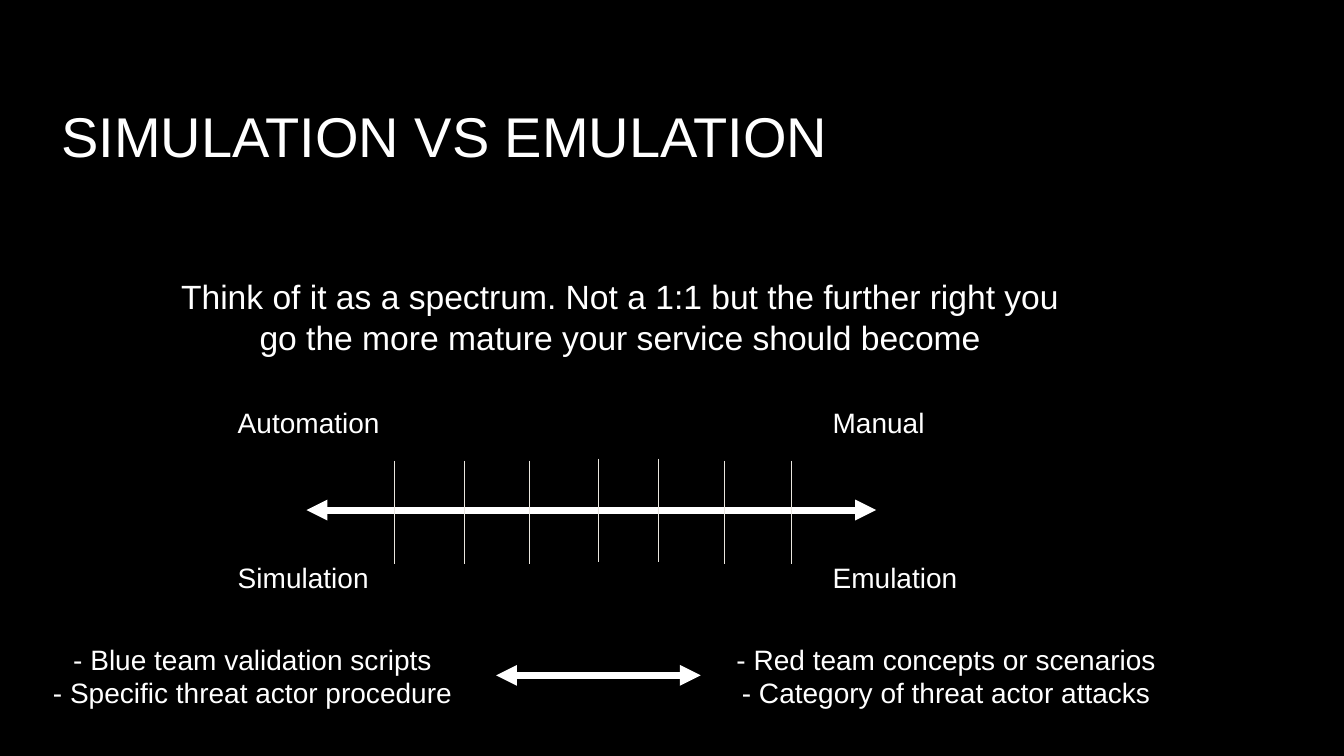
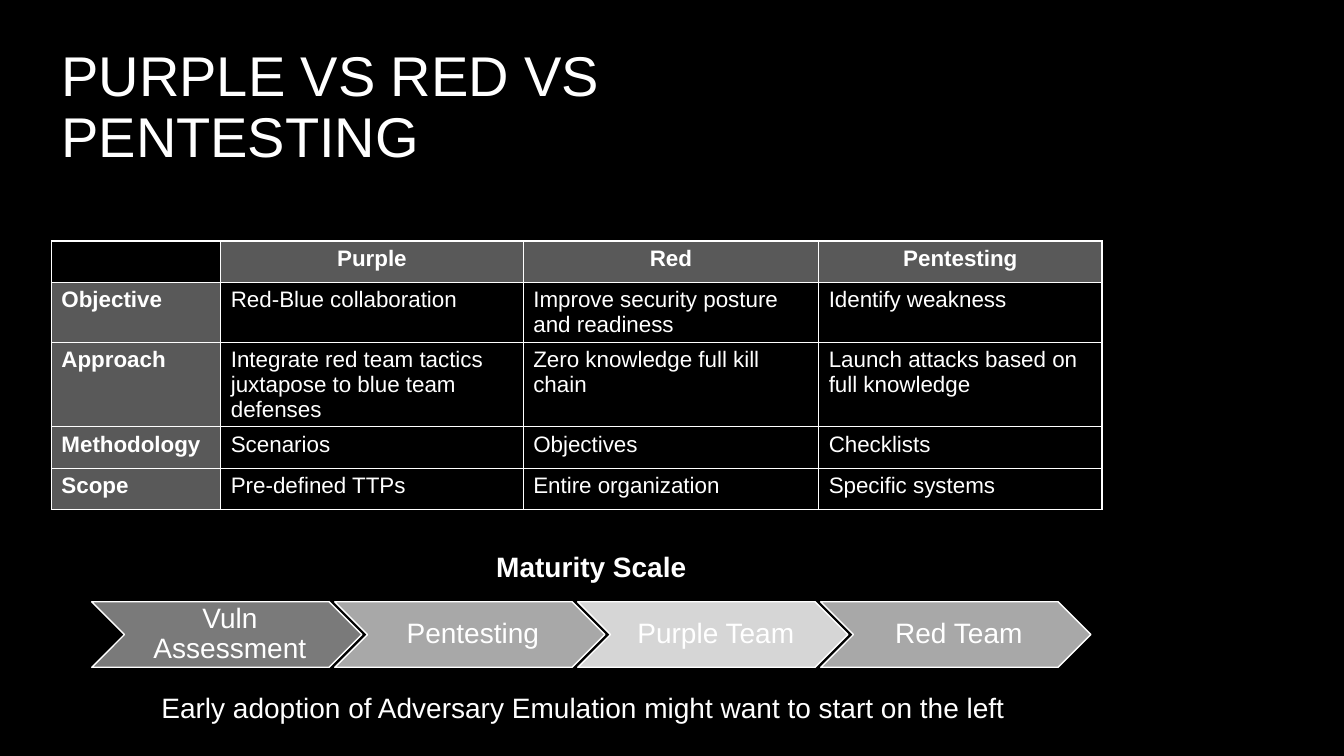
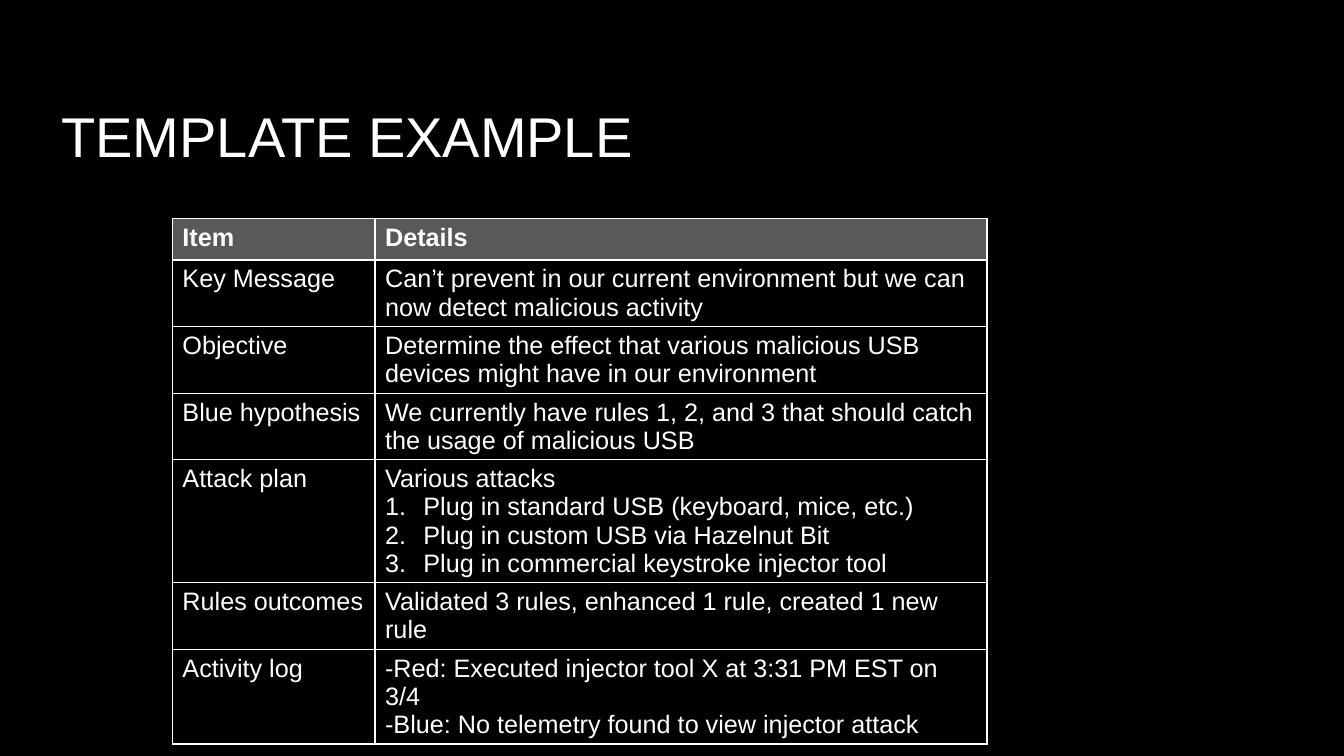
from typing import NamedTuple, Sequence

from lxml.etree import SubElement
from pptx import Presentation
from pptx.dml.color import RGBColor
from pptx.enum.dml import MSO_THEME_COLOR as Theme
from pptx.enum.shapes import MSO_CONNECTOR as Link, MSO_SHAPE as Shape
from pptx.enum.text import MSO_ANCHOR as Anchor, MSO_AUTO_SIZE as Fit, PP_ALIGN as Align
from pptx.oxml import parse_xml
from pptx.oxml.ns import nsdecls, qn
from pptx.util import Emu, Pt

BLACK = RGBColor(0x00, 0x00, 0x00)
WHITE = RGBColor(0xFF, 0xFF, 0xFF)
IVORY = RGBColor(0xE9, 0xE6, 0xDF)
HEAD = RGBColor(0x59, 0x59, 0x59)
DARK = RGBColor(0x7A, 0x7A, 0x7A)
MID = RGBColor(0xA8, 0xA8, 0xA8)
LIGHT = RGBColor(0xD6, 0xD6, 0xD6)
FONT = "Arial"
UNIT = 9144  # EMU in one px, at 100 px to the inch


class Label(NamedTuple):
    text: str
    x: int
    y: int
    w: int
    h: int = 44
    size: int = 20
    align: Align = Align.CENTER
    bold: bool = False


class Line(NamedTuple):
    x1: int
    y1: int
    x2: int
    y2: int
    color: RGBColor = WHITE
    width: float = 5
    heads: bool = True


class Step(NamedTuple):
    text: str
    color: RGBColor


class Grid(NamedTuple):
    x: int
    y: int
    cols: Sequence[int]
    rows: Sequence[Sequence[str]]
    size: int
    side: bool = False  # first column is a header too
    align: Align = Align.LEFT  # of the header row


def px(n: int) -> Emu:
    return Emu(n * UNIT)


def box(*sides: int) -> list[Emu]:
    return [px(n) for n in sides]


def style(paras, size: int, align: Align = Align.LEFT, bold: bool = False) -> None:
    for para in paras:
        para.alignment = align
        font = para.font
        font.name, font.size, font.bold = FONT, Pt(size), bold
        font.color.rgb = WHITE


def add_slide(deck, text: str):
    slide = deck.slides.add_slide(deck.slide_layouts[5])
    title = slide.shapes.title
    title.left, title.top, title.width, title.height = box(51, 20, 835, 153)
    frame = title.text_frame
    frame.text = text
    frame.auto_size = Fit.NONE
    frame.vertical_anchor = Anchor.BOTTOM
    frame.paragraphs[0].line_spacing = 0.9
    style(frame.paragraphs, 40)
    return slide


def add_label(slide, label: Label) -> None:
    frame = slide.shapes.add_textbox(*box(label.x, label.y, label.w, label.h)).text_frame
    frame.word_wrap = True
    frame.text = label.text
    style(frame.paragraphs, label.size, label.align, label.bold)


def add_line(slide, line: Line) -> None:
    link = slide.shapes.add_connector(
        Link.STRAIGHT, *box(line.x1, line.y1, line.x2, line.y2))
    link.line.color.rgb = line.color
    link.line.width = Pt(line.width)
    props = link._element.spPr
    if line.heads:
        for end in ("a:headEnd", "a:tailEnd"):
            SubElement(props.find(qn("a:ln")), qn(end), type="triangle")
    SubElement(props, qn("a:effectLst"))


def add_step(slide, step: Step, x: int) -> None:
    shape = slide.shapes.add_shape(Shape.CHEVRON, *box(x, 597, 268, 65))
    shape.shadow.inherit = False
    shape.fill.solid()
    shape.fill.fore_color.rgb = step.color
    shape.line.color.rgb = WHITE
    shape.line.width = Pt(1)
    frame = shape.text_frame
    frame.word_wrap = True
    frame.vertical_anchor = Anchor.MIDDLE
    frame.margin_left = px(9)
    frame.margin_top = frame.margin_right = frame.margin_bottom = px(3)
    frame.text = step.text
    frame.paragraphs[0].line_spacing = 0.9
    style(frame.paragraphs, 20, Align.CENTER)


def rule(cell) -> None:
    """Draw a thin white border on all four sides."""
    props = cell._tc.get_or_add_tcPr()
    for spot, side in enumerate("LRTB"):
        props.insert(spot, parse_xml(
            f'<a:ln{side} {nsdecls("a")} w="{Pt(1)}"><a:solidFill>'
            f'<a:srgbClr val="{WHITE}"/></a:solidFill></a:ln{side}>'))


def add_grid(slide, grid: Grid):
    count = len(grid.rows)
    table = slide.shapes.add_table(
        count, len(grid.cols),
        *box(grid.x, grid.y, sum(grid.cols), 41 * count)).table
    table.horz_banding = False
    for col, width in zip(table.columns, grid.cols):
        col.width = px(width)
    for r, row in enumerate(grid.rows):
        table.rows[r].height = px(41)
        for c, text in enumerate(row):
            cell = table.cell(r, c)
            cell.text = text
            top = r == 0
            head = top or (grid.side and c == 0)
            cell.fill.solid()
            cell.fill.fore_color.rgb = HEAD if head and text else BLACK
            rule(cell)
            style(cell.text_frame.paragraphs, grid.size,
                  grid.align if top else Align.LEFT, head)
    return table


def number(paras) -> None:
    """Turn paragraphs into a numbered list with a hanging indent."""
    for para in paras:
        props = para._p.get_or_add_pPr()
        props.set("marL", str(px(38)))
        props.set("indent", str(-px(38)))
        props.insert(0, parse_xml(
            f'<a:buAutoNum {nsdecls("a")} type="arabicPeriod"/>'))


def spectrum(deck) -> None:
    slide = add_slide(deck, "SIMULATION VS EMULATION")
    add_label(slide, Label(
        "Think of it as a spectrum. Not a 1:1 but the further right you go "
        "the more mature your service should become", 147, 269, 936, 91, 24))
    ends = ((226, "Automation", "Simulation"), (816, "Manual", "Emulation"))
    for x, *words in ends:
        for y, word in zip((397, 551), words):
            add_label(slide, Label(word, x, y, 217, align=Align.LEFT))
    add_line(slide, Line(304, 506, 869, 506))
    ticks = ((391, 457), (461, 457), (525, 457), (593, 455),
             (653, 455), (718, 457), (785, 457))
    for x, y in ticks:
        add_line(slide, Line(x, y, x, y + 103, IVORY, 0.5, False))
    add_label(slide, Label(
        "- Blue team validation scripts\n- Specific threat actor procedure",
        40, 632, 421, 77))
    add_label(slide, Label(
        "- Red team concepts or scenarios\n- Category of threat actor attacks",
        718, 632, 441, 77))
    add_line(slide, Line(492, 670, 695, 670))


def compare(deck) -> None:
    slide = add_slide(deck, "PURPLE VS RED VS PENTESTING")
    add_grid(slide, Grid(51, 239, (168, 300, 293, 281), (
        ("", "Purple", "Red", "Pentesting"),
        ("Objective", "Red-Blue collaboration",
         "Improve security posture and readiness", "Identify weakness"),
        ("Approach", "Integrate red team tactics juxtapose to blue team defenses",
         "Zero knowledge full kill chain", "Launch attacks based on full knowledge"),
        ("Methodology", "Scenarios", "Objectives", "Checklists"),
        ("Scope", "Pre-defined TTPs", "Entire organization", "Specific systems"),
    ), 16, True, Align.CENTER))
    steps = (Step("Vuln Assessment", DARK), Step("Pentesting", MID),
             Step("Purple Team", LIGHT), Step("Red Team", MID))
    for i, step in enumerate(steps):
        add_step(slide, step, 91 + 241 * i)
    add_label(slide, Label("Maturity Scale", 478, 540, 217, bold=True))
    add_label(slide, Label(
        "Early adoption of Adversary Emulation might want to start on the left",
        136, 680, 885))


def example(deck) -> None:
    slide = add_slide(deck, "TEMPLATE EXAMPLE")
    table = add_grid(slide, Grid(171, 217, (201, 607), (
        ("Item", "Details"),
        ("Key Message", "Can’t prevent in our current environment but we can "
                        "now detect malicious activity"),
        ("Objective", "Determine the effect that various malicious USB devices "
                      "might have in our environment"),
        ("Blue hypothesis", "We currently have rules 1, 2, and 3 that should catch "
                            "the usage of malicious USB"),
        ("Attack plan", "Various attacks\n"
                        "Plug in standard USB (keyboard, mice, etc.)\n"
                        "Plug in custom USB via Hazelnut Bit\n"
                        "Plug in commercial keystroke injector tool"),
        ("Rules outcomes", "Validated 3 rules, enhanced 1 rule, created 1 new rule"),
        ("Activity log", "-Red: Executed injector tool X at 3:31 PM EST on 3/4\n"
                         "-Blue: No telemetry found to view injector attack"),
    ), 18))
    number(table.cell(4, 1).text_frame.paragraphs[1:])


def main() -> None:
    deck = Presentation()
    deck.slide_width, deck.slide_height = box(1333, 750)
    back = deck.slide_master.background.fill
    back.solid()
    back.fore_color.rgb = BLACK
    for build in (spectrum, compare, example):
        build(deck)
    deck.save("out.pptx")


if __name__ == "__main__":
    main()
